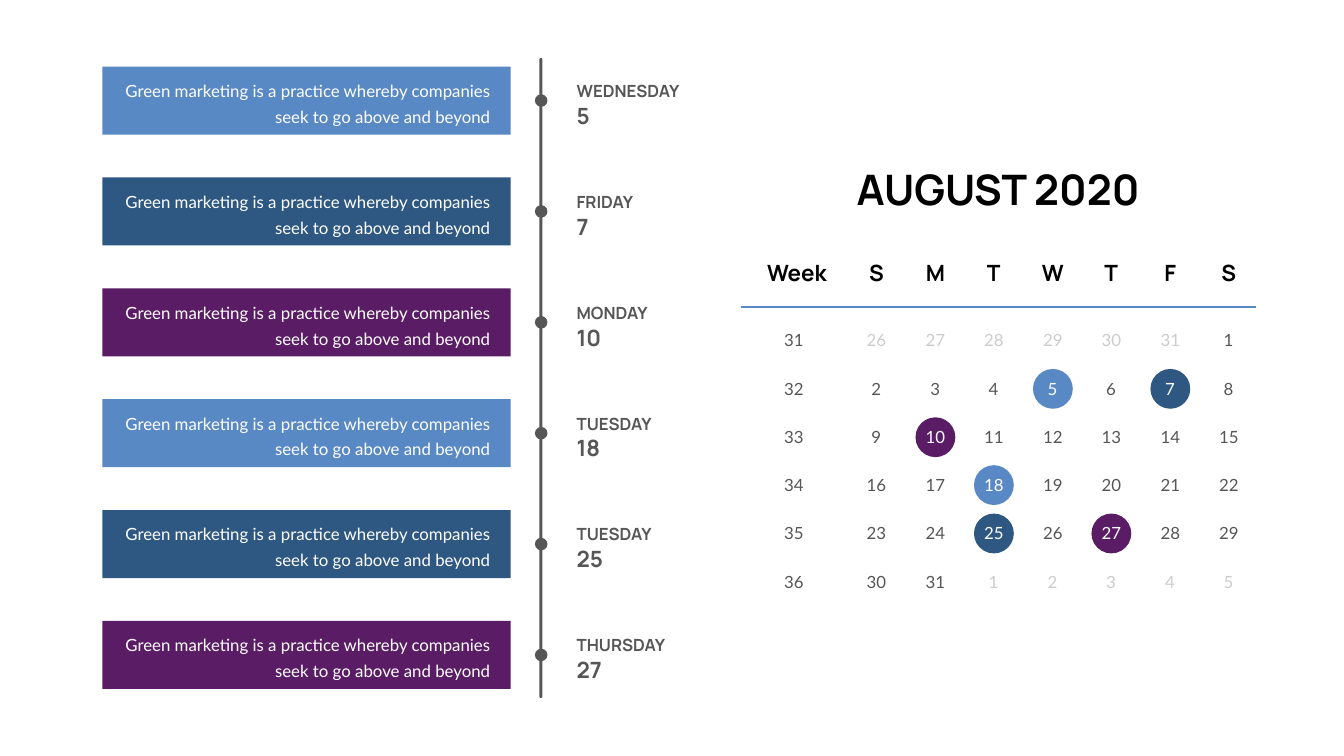
from pptx import Presentation
from pptx.dml.color import RGBColor
from pptx.enum.shapes import MSO_CONNECTOR, MSO_SHAPE
from pptx.enum.text import MSO_ANCHOR, MSO_AUTO_SIZE, PP_ALIGN
from pptx.oxml.ns import qn
from pptx.util import Pt
from lxml.etree import SubElement

PX = 9144
BLUE = RGBColor(0x58, 0x89, 0xC5)
NAVY = RGBColor(0x2E, 0x58, 0x82)
PLUM = RGBColor(0x5A, 0x1C, 0x64)
GRAY = RGBColor(0x56, 0x56, 0x56)
PALE = RGBColor(0xCC, 0xCC, 0xCC)
BLACK = RGBColor(0, 0, 0)
WHITE = RGBColor(255, 255, 255)

BLURB = "Green marketing is a practice whereby companies seek to go above and beyond"
EVENTS = [
    ("WEDNESDAY", 5, BLUE),
    ("FRIDAY", 7, NAVY),
    ("MONDAY", 10, PLUM),
    ("TUESDAY", 18, BLUE),
    ("TUESDAY", 25, NAVY),
    ("THURSDAY", 27, PLUM),
]
HEADS = [("S", 48), ("M", 61), ("T", 48), ("W", 67), ("T", 48), ("F", 45), ("S", 48)]


class Canvas:
    """Draws styled elements on one slide, with lengths in px."""

    def __init__(self, slide):
        self.slide = slide
        self.head = "Manrope"
        self.body = "Lato"

    def shape(self, kind, x, y, w, h, fill):
        item = self.slide.shapes.add_shape(kind, x * PX, y * PX, w * PX, h * PX)
        item.shadow.inherit = False
        item.fill.solid()
        item.fill.fore_color.rgb = fill
        item.line.fill.background()
        return item

    def line(self, x1, y1, x2, y2, color, width):
        item = self.slide.shapes.add_connector(
            MSO_CONNECTOR.STRAIGHT, x1 * PX, y1 * PX, x2 * PX, y2 * PX)
        item.line.color.rgb = color
        item.line.width = Pt(width)
        SubElement(item._element.spPr, qn("a:effectLst"))

    def text(self, x, y, w, h, rows, color, align=PP_ALIGN.CENTER,
             bold=False, wrap=False, lead=None, anchor=MSO_ANCHOR.MIDDLE):
        box = self.slide.shapes.add_textbox(x * PX, y * PX, w * PX, h * PX)
        frame = box.text_frame
        frame.word_wrap = wrap
        frame.auto_size = MSO_AUTO_SIZE.SHAPE_TO_FIT_TEXT
        frame.vertical_anchor = anchor
        for n, (words, size) in enumerate(rows):
            para = frame.add_paragraph() if n else frame.paragraphs[0]
            para.alignment = align
            if lead:
                para.line_spacing = Pt(lead)
            run = para.add_run()
            run.text = words
            font = run.font
            font.name = self.head if bold else self.body
            font.size = Pt(size)
            font.bold = bold
            font.color.rgb = color

    def title(self, mid, y, w, h, words, size, align=PP_ALIGN.CENTER):
        self.text(mid - w // 2, y, w, h, [(words, size)], BLACK, align,
                  bold=True, anchor=MSO_ANCHOR.TOP)

    def number(self, mid, y, value, color):
        words = str(value)
        w = 40 if len(words) == 1 else 59
        self.text(mid - w // 2, y - 25, w, 50, [(words, 24)], color)

    def event(self, y, day, date, fill):
        self.shape(MSO_SHAPE.RECTANGLE, 203, y, 810, 135, fill)
        self.shape(MSO_SHAPE.OVAL, 1061, y + 55, 25, 25, GRAY)
        self.text(234, y + 14, 748, 108, [(BLURB, 24)], WHITE,
                  PP_ALIGN.RIGHT, wrap=True, lead=37)
        self.text(1134, y + 7, 236, 122, [(day, 24), (str(date), 32)], GRAY,
                  PP_ALIGN.LEFT, bold=True, wrap=True, lead=40)


def col_mid(col):
    return 1738 + (233 * col + 1) // 2


def calendar(canvas):
    marks = {date: fill for _, date, fill in EVENTS}
    canvas.title(1980, 320, 590, 111, "AUGUST 2020", 60)
    canvas.title(1575, 509, 150, 64, "Week", 32, PP_ALIGN.RIGHT)
    for col, (name, w) in enumerate(HEADS):
        canvas.title(col_mid(col), 509, w, 64, name, 32)
    canvas.line(1469, 609, 2491, 609, BLUE, 3)
    for row in range(6):
        y = 675 + round(479 * row / 5)
        canvas.number(1574, y, 31 + row, GRAY)
        for col in range(7):
            x = col_mid(col)
            day = row * 7 + col - 5
            if day < 1:
                canvas.number(x, y, day + 31, PALE)
            elif day > 31:
                canvas.number(x, y, day - 31, PALE)
            elif day in marks:
                canvas.shape(MSO_SHAPE.OVAL, x - 39, y - 39, 79, 79, marks[day])
                canvas.number(x, y, day, WHITE)
            else:
                canvas.number(x, y, day, GRAY)


def timeline(canvas):
    bar = canvas.shape(MSO_SHAPE.ROUNDED_RECTANGLE, 1070, 115, 6, 1270, GRAY)
    bar.adjustments[0] = 0.5
    for n, (day, date, fill) in enumerate(EVENTS):
        canvas.event(132 + 220 * n, day, date, fill)


def main():
    deck = Presentation()
    deck.slide_width = 2666 * PX
    deck.slide_height = 1500 * PX
    canvas = Canvas(deck.slides.add_slide(deck.slide_layouts[6]))
    calendar(canvas)
    timeline(canvas)
    deck.save("out.pptx")


if __name__ == "__main__":
    main()
